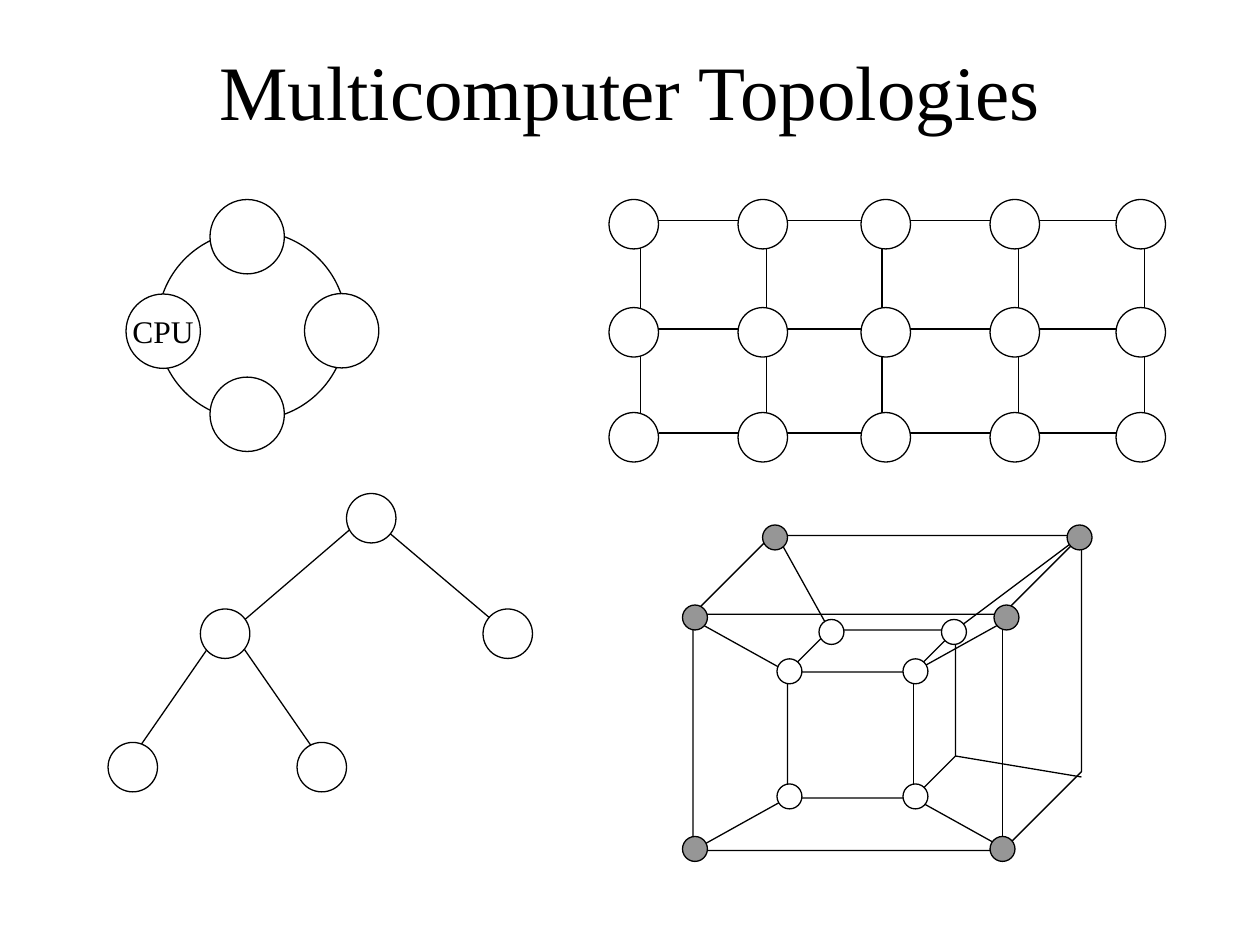
from itertools import product

from lxml.etree import SubElement
from pptx import Presentation
from pptx.dml.color import RGBColor
from pptx.enum.shapes import MSO_CONNECTOR as Connector, MSO_SHAPE as Preset
from pptx.enum.text import MSO_ANCHOR as Anchor, PP_ALIGN as Align
from pptx.oxml.ns import qn
from pptx.util import Pt

WHITE, BLACK, GRAY = "FFFFFF", "000000", "969696"


def color(value):
    return RGBColor.from_string(value)


class Diagram:
    """Draws topology diagrams on the current slide in one style."""

    font = "Times New Roman"
    stroke = 0.75

    def __init__(self, page):
        self.page = page
        self.group = None

    def start_group(self):
        self.group = self.page.shapes.add_group_shape().shapes

    def label(self, shape, text, size, wrap):
        frame = shape.text_frame
        frame.word_wrap = wrap
        frame.vertical_anchor = Anchor.MIDDLE
        frame.margin_left = frame.margin_right = frame.margin_top = frame.margin_bottom = 0
        para = frame.paragraphs[0]
        para.text = text
        para.alignment = Align.CENTER
        para.font.name = self.font
        para.font.size = Pt(size)
        para.font.color.rgb = color(BLACK)

    def title(self, text, left, top, width, height):
        box = self.page.shapes.add_textbox(Pt(left), Pt(top), Pt(width), Pt(height))
        self.label(box, text, 44, True)

    def line(self, start, end):
        edge = self.group.add_connector(Connector.STRAIGHT, *map(Pt, start + end))
        edge.line.color.rgb = color(BLACK)
        edge.line.width = Pt(self.stroke)
        SubElement(edge._element.spPr, qn("a:effectLst"))

    def shape(self, preset, left, top, width, height, fill=None):
        shape = self.group.add_shape(preset, Pt(left), Pt(top), Pt(width), Pt(height))
        shape.shadow.inherit = False
        if fill:
            shape.fill.solid()
            shape.fill.fore_color.rgb = color(fill)
        else:
            shape.fill.background()
        shape.line.color.rgb = color(BLACK)
        shape.line.width = Pt(self.stroke)
        return shape

    def node(self, left, top, size, fill=WHITE):
        return self.shape(Preset.OVAL, left, top, size, size, fill)

    def cube(self, left, top, width, height):
        self.shape(Preset.CUBE, left, top, width, height).adjustments[0] = 0.25


def draw_mesh(diagram):
    diagram.start_group()
    for x in (366, 438, 504, 582, 654):
        diagram.line((x, 132), (x, 247))
    for y in (126, 188, 247.5):
        diagram.line((376.5, y), (638, y))
    for top, left in product((114, 175.75, 235.75), (348, 421.75, 492, 565.75, 637.75)):
        diagram.node(left, top, 28.25)


def draw_ring(diagram):
    diagram.start_group()
    diagram.node(90, 132, 108)
    for left, top in ((120, 114), (174, 167.75), (120, 215.5)):
        diagram.node(left, top, 42.5)
    diagram.label(diagram.node(72, 168, 42.5), "CPU", 18, False)


def draw_tree(diagram):
    diagram.start_group()
    for start, end in (
        ((126, 360), (72, 438)),
        ((210, 294), (288, 360)),
        ((132, 360), (186, 438)),
        ((210, 294), (126, 366)),
    ):
        diagram.line(start, end)
    for left, top in ((198, 282), (114.5, 348), (276, 348), (61.75, 424.25), (169.75, 424.25)):
        diagram.node(left, top, 28.25)


def draw_hypercube(diagram):
    diagram.start_group()
    diagram.cube(450, 360, 96, 96)
    diagram.cube(396, 306, 222, 180)
    for inner, outer in (
        ((450, 456), (396, 486)),
        ((522, 456), (576, 486)),
        ((546, 432), (618, 444)),
        ((450, 384), (396, 354)),
        ((522, 384), (576, 354)),
        ((474, 360), (444, 306)),
        ((546, 360), (618, 306)),
    ):
        diagram.line(inner, outer)
    inner_nodes = [*product((444, 516), (448, 376.5)), (468, 354), (538, 354)]
    outer_nodes = [
        (390, 478), (565.75, 478), (390, 345.75), (435.75, 300), (609.75, 300), (568, 345.75),
    ]
    for places, fill in ((inner_nodes, WHITE), (outer_nodes, GRAY)):
        for left, top in places:
            diagram.node(left, top, 14.25, fill)


def main():
    deck = Presentation()
    deck.slide_width, deck.slide_height = Pt(720), Pt(540)
    diagram = Diagram(deck.slides.add_slide(deck.slide_layouts[6]))
    diagram.title("Multicomputer Topologies", 54, 6, 612, 90)
    draw_mesh(diagram)
    draw_ring(diagram)
    draw_tree(diagram)
    draw_hypercube(diagram)
    deck.save("out.pptx")


if __name__ == "__main__":
    main()
